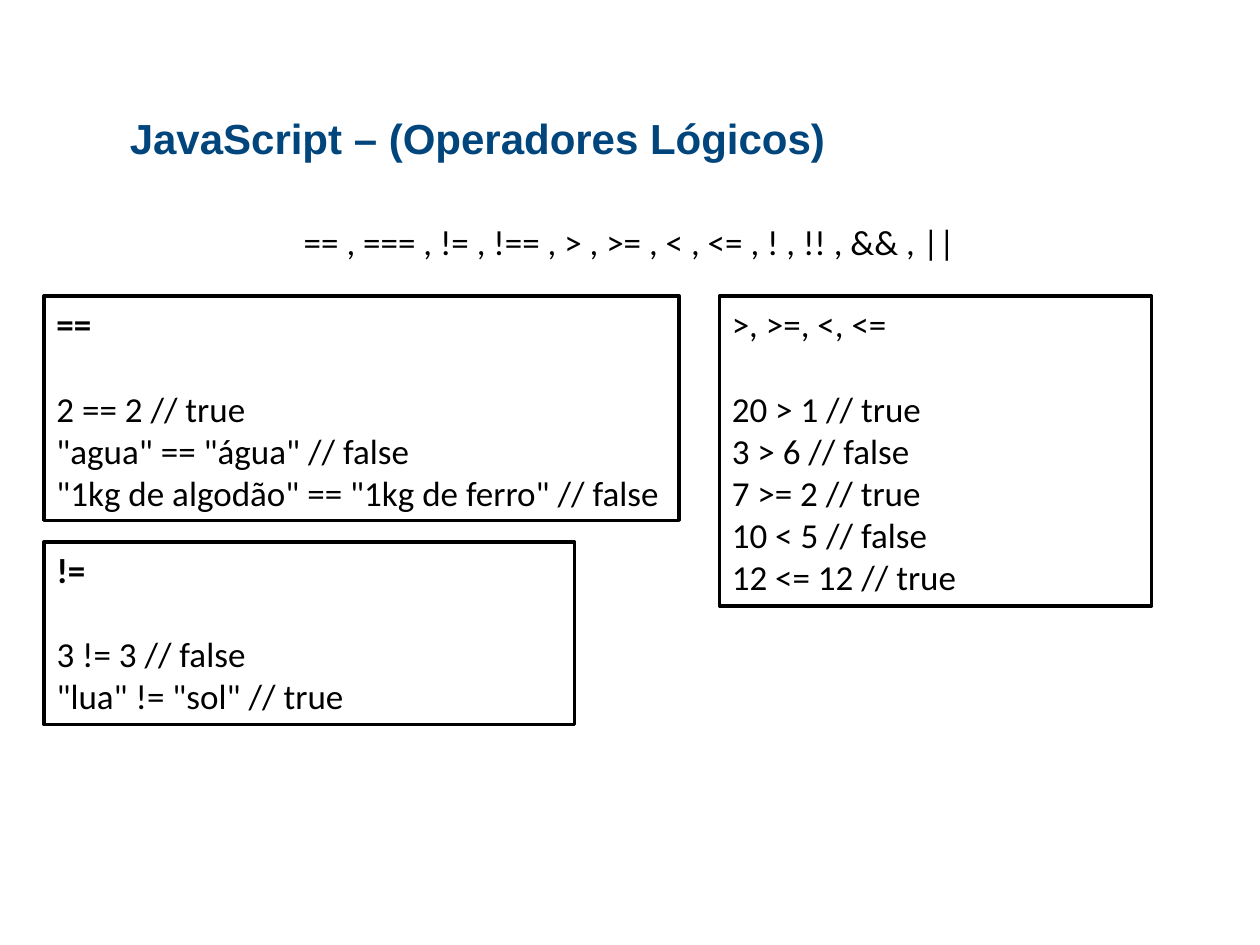
from pptx import Presentation
from pptx import util as u
from pptx.dml.color import RGBColor
from pptx.enum import shapes, text

BLACK = RGBColor(0x00, 0x00, 0x00)
WHITE = RGBColor(0xFF, 0xFF, 0xFF)
NAVY = RGBColor(0x00, 0x45, 0x7C)

LEFT, RIGHT = 0.35, 5.71
TOP_ROW, BOTTOM_ROW = 2.35, 4.3


class OperatorSlide:
    title_font, body_font = "Arial", "Calibri"
    title_size, body_size = u.Pt(24), u.Pt(20)
    heading_gap = u.Pt(24.4)  # one line of body text

    def __init__(self, deck):
        self.page = deck.slides.add_slide(deck.slide_layouts[5])

    def add_span(self, para, wording, bold=False):
        span = para.add_run()
        span.text = wording
        font = span.font
        font.name, font.size, font.bold = self.body_font, self.body_size, bold
        font.color.rgb = BLACK
        return span

    def prepare_frame(self, box):
        frame = box.text_frame
        frame.word_wrap = True
        frame.auto_size = text.MSO_AUTO_SIZE.NONE
        frame.vertical_anchor = text.MSO_ANCHOR.TOP
        return frame

    def title(self, wording, left, top, width, height):
        box = self.page.shapes.title
        box.left, box.top = u.Inches(left), u.Inches(top)
        box.width, box.height = u.Inches(width), u.Inches(height)
        para = self.prepare_frame(box).paragraphs[0]
        para.alignment = text.PP_ALIGN.LEFT
        span = self.add_span(para, wording, bold=True)
        span.font.name, span.font.size = self.title_font, self.title_size
        span.font.color.rgb = NAVY

    def centred_line(self, wording, left, top, width, height):
        box = self.page.shapes.add_textbox(
            u.Inches(left), u.Inches(top), u.Inches(width), u.Inches(height))
        para = self.prepare_frame(box).paragraphs[0]
        para.alignment = text.PP_ALIGN.CENTER
        self.add_span(para, wording)

    def example_box(self, heading, examples, left, top, width, height, bold=True):
        """Draw an outlined box with a heading above its code examples."""
        box = self.page.shapes.add_shape(
            shapes.MSO_SHAPE.RECTANGLE,
            u.Inches(left), u.Inches(top), u.Inches(width), u.Inches(height))
        box.shadow.inherit = False
        box.fill.solid()
        box.fill.fore_color.rgb = WHITE
        box.line.color.rgb = BLACK
        box.line.width = u.Pt(2)
        frame = self.prepare_frame(box)
        para = frame.paragraphs[0]
        para.alignment = text.PP_ALIGN.LEFT
        para.space_after = self.heading_gap
        self.add_span(para, heading, bold)
        for example in examples:
            para = frame.add_paragraph()
            para.alignment = text.PP_ALIGN.LEFT
            self.add_span(para, example)


def main():
    deck = Presentation()
    deck.slide_width, deck.slide_height = u.Inches(10), u.Inches(7.5)
    slide = OperatorSlide(deck)
    slide.title("JavaScript – (Operadores Lógicos)", 0.93, 0.84, 8.62, 0.87)
    slide.centred_line("== , === , != , !== , > , >= , < , <= , ! , !! , && , ||",
                       0, 1.7, 10, 0.47)
    slide.example_box(
        "==",
        ["2 == 2 // true",
         '"agua" == "água" // false',
         '"1kg de algodão" == "1kg de ferro" // false'],
        LEFT, TOP_ROW, 5.04, 1.78)
    slide.example_box(
        "!=",
        ["3 != 3 // false", '"lua" != "sol" // true'],
        LEFT, BOTTOM_ROW, 4.21, 1.45)
    slide.example_box(
        ">, >=, <, <=",
        ["20 > 1 // true", "3 > 6 // false", "7 >= 2 // true",
         "10 < 5 // false", "12 <= 12 // true"],
        RIGHT, TOP_ROW, 3.43, 2.46, bold=False)
    deck.save("out.pptx")


if __name__ == "__main__":
    main()
